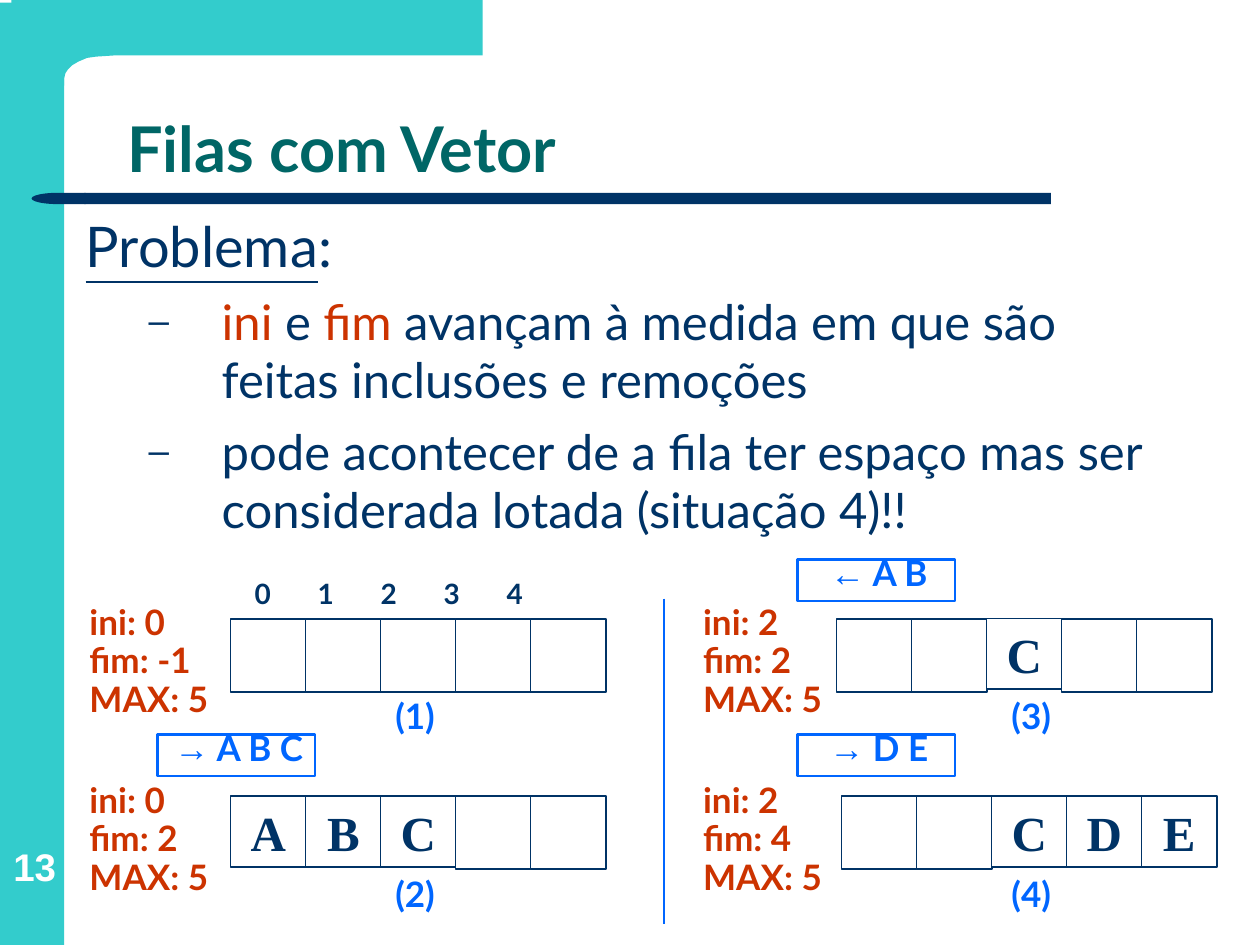
from lxml import etree
from pptx import Presentation
from pptx.dml.color import RGBColor
from pptx.enum import shapes, text
from pptx.oxml import ns
from pptx.util import Inches, Pt

TEAL = RGBColor(0x33, 0xCC, 0xCC)
DARK_TEAL = RGBColor(0x00, 0x66, 0x66)
NAVY = RGBColor(0x00, 0x33, 0x66)
RED = RGBColor(0xCC, 0x33, 0x00)
BLUE = RGBColor(0x00, 0x66, 0xFF)
WHITE = RGBColor(0xFF, 0xFF, 0xFF)

TITLE = "Filas com Vetor"
PAGE = "13"
# Each run: text, colour, underlined
PROBLEM = [("Problema", NAVY, True), (":", NAVY, False)]
POINTS = [
    [("ini", RED, False), (" e ", NAVY, False), ("fim", RED, False),
     (" avançam à medida em que são feitas inclusões e remoções", NAVY, False)],
    [("pode acontecer de a fila ter espaço mas ser considerada lotada "
      "(situação 4)!!", NAVY, False)],
]
INDEXES = ["0", "1", "2", "3", "4"]
# Caption, column, row, left of the cells, ini, fim, cell contents
QUEUES = [
    ("(1)", 0, 0, 1.83, 0, -1, ["", "", "", "", ""]),
    ("(2)", 0, 1, 1.83, 0, 2, ["A", "B", "C", "", ""]),
    ("(3)", 1, 0, 6.64, 2, 2, ["", "", "C", "", ""]),
    ("(4)", 1, 1, 6.68, 2, 4, ["", "", "C", "D", "E"]),
]
# Arrow, elements, left, top
MOVES = [("→", " A B C", 1.25, 5.83), ("←", " A B", 6.33, 4.44), ("→", " D E", 6.33, 5.83)]
MAX_SIZE = 5

STATE_LEFT, CAPTION_LEFT = (0.71, 5.58), (2.96, 7.85)
CELL_TOP, ROW_PITCH, CELL_PITCH, CELL_WIDTH = 4.91, 1.41, 0.595, 0.6
CORNER = [(3.83, 0), (3.83, 0.44), (0.91, 0.44), (0.76, 0.45), (0.69, 0.46),
          (0.62, 0.49), (0.57, 0.52), (0.54, 0.55), (0.52, 0.58), (0.51, 0.62),
          (0.51, 0.68), (0.09, 0.68), (0.09, 0)]

LEFT, CENTER = text.PP_ALIGN.LEFT, text.PP_ALIGN.CENTER


def style(run, size, color, font="Lato", bold=True):
    run.font.size, run.font.name, run.font.bold = Pt(size), font, bold
    run.font.color.rgb = color


def set_frame(frame, insets, anchor=text.MSO_ANCHOR.TOP):
    frame.word_wrap = True
    frame.auto_size = text.MSO_AUTO_SIZE.NONE
    frame.vertical_anchor = anchor
    (frame.margin_left, frame.margin_top,
     frame.margin_right, frame.margin_bottom) = map(Inches, insets)


def indent(paragraph, left, first):
    properties = paragraph._p.get_or_add_pPr()
    properties.set("marL", str(Inches(left)))
    properties.set("indent", str(Inches(first)))
    return properties


def tighten(paragraph, align, gap=5):
    """Half line spacing and hanging indent shared by all diagram labels."""
    paragraph.alignment = align
    paragraph.line_spacing = 0.5
    paragraph.space_before = paragraph.space_after = Pt(gap)
    indent(paragraph, 0.38, -0.38)


def add_box(slide, kind, box, fill=None, line=None, width=1):
    shape = slide.shapes.add_shape(kind, *map(Inches, box))
    paint(shape, fill, line, width)
    return shape


def paint(shape, fill, line=None, width=1):
    shape.shadow.inherit = False
    if fill is None:
        shape.fill.background()
    else:
        shape.fill.solid()
        shape.fill.fore_color.rgb = fill
    if line is None:
        shape.line.fill.background()
    else:
        shape.line.color.rgb = line
        shape.line.width = Pt(width)


def add_label(slide, box, lines, color, insets, align):
    frame = slide.shapes.add_textbox(*map(Inches, box)).text_frame
    set_frame(frame, insets)
    frame.text = "\n".join(lines)
    for paragraph in frame.paragraphs:
        tighten(paragraph, align)
        style(paragraph.runs[0], 20, color)


def add_decor(slide):
    rect = shapes.MSO_SHAPE.RECTANGLE
    add_box(slide, rect, (0, 0.02, 0.51, 7.48), TEAL)
    start, *rest = [(Inches(x), Inches(y)) for x, y in CORNER]
    builder = slide.shapes.build_freeform(*start)
    builder.add_line_segments(rest, close=True)
    paint(builder.convert_to_shape(), TEAL)
    add_box(slide, rect, (0.67, 1.53, 7.67, 0.09), NAVY)
    cap = add_box(slide, shapes.MSO_SHAPE.FLOWCHART_DELAY, (0.25, 1.53, 0.43, 0.09), NAVY)
    cap.rotation = 180

    page = slide.shapes.add_textbox(*map(Inches, (0.03, 6.52, 0.49, 0.54))).text_frame
    set_frame(page, (0, 0, 0, 0), text.MSO_ANCHOR.BOTTOM)
    page.text = PAGE
    page.paragraphs[0].alignment = CENTER
    style(page.paragraphs[0].runs[0], 22, WHITE, "Arial")


def place(shape, box):
    shape.left, shape.top, shape.width, shape.height = map(Inches, box)


def fill_title(title):
    place(title, (0.91, 0.44, 8.51, 1.09))
    set_frame(title.text_frame, (0.1, 0.05, 0.1, 0.05), text.MSO_ANCHOR.BOTTOM)
    title.text_frame.text = TITLE
    paragraph = title.text_frame.paragraphs[0]
    paragraph.alignment, paragraph.line_spacing = LEFT, 0.9
    style(paragraph.runs[0], 36, DARK_TEAL)


def fill_body(body):
    place(body, (0.58, 1.63, 8.92, 5.64))
    frame = body.text_frame
    set_frame(frame, (0.1, 0.05, 0.1, 0.05))
    for number, parts in enumerate([PROBLEM] + POINTS):
        paragraph = frame.add_paragraph() if number else frame.paragraphs[0]
        paragraph.level = 1 if number else 0
        paragraph.space_before = Pt(7 if number else 8)
        for words, color, underlined in parts:
            run = paragraph.add_run()
            run.text = words
            style(run, 28 if number else 32, color, bold=False)
            run.font.underline = underlined
        if number:
            properties = indent(paragraph, 1.08, -0.58)
            bullet_color = etree.SubElement(properties, ns.qn("a:buClr"))
            etree.SubElement(bullet_color, ns.qn("a:srgbClr"), val=str(NAVY))
            etree.SubElement(properties, ns.qn("a:buSzPct"), val="75000")
            etree.SubElement(properties, ns.qn("a:buChar"), char="–")
        else:
            etree.SubElement(indent(paragraph, 0.67, -0.67), ns.qn("a:buNone"))


def add_queue(slide, caption, column, row, left, ini, fim, cells):
    top = CELL_TOP + row * ROW_PITCH
    for i, letter in enumerate(cells):
        box = (left + i * CELL_PITCH, top, CELL_WIDTH, 0.56 if letter else 0.58)
        cell = add_box(slide, shapes.MSO_SHAPE.RECTANGLE, box, WHITE, NAVY)
        if letter:
            set_frame(cell.text_frame, (0.1, 0.05, 0.1, 0.05))
            cell.text_frame.text = letter
            cell.text_frame.paragraphs[0].alignment = CENTER
            style(cell.text_frame.paragraphs[0].runs[0], 28, NAVY, "Times New Roman")
    state = [f"ini: {ini}", f"fim: {fim}", f"MAX: {MAX_SIZE}"]
    add_label(slide, (STATE_LEFT[column], top - 0.08, 1.25, 0.67), state, RED,
              (0, 0.08, 0, 0), LEFT)
    add_label(slide, (CAPTION_LEFT[column], top + 0.67, 0.67, 0.42), [caption], BLUE,
              (0.08, 0.08, 0.08, 0.08), CENTER)


def add_move(slide, arrow, elements, left, top):
    move = add_box(slide, shapes.MSO_SHAPE.RECTANGLE, (left, top, 1.25, 0.33), None, BLUE, 1.5)
    set_frame(move.text_frame, (0.08, 0.08, 0.04, 0.08))
    paragraph = move.text_frame.paragraphs[0]
    tighten(paragraph, CENTER)
    for words, font in ((arrow, "Arial"), (elements, "Lato")):
        run = paragraph.add_run()
        run.text = words
        style(run, 20, BLUE, font)


def add_indexes(slide):
    frame = slide.shapes.add_textbox(*map(Inches, (2.02, 4.69, 2.81, 0.31))).text_frame
    set_frame(frame, (0, 0, 0, 0))
    frame.text = "\t".join(INDEXES)
    paragraph = frame.paragraphs[0]
    tighten(paragraph, LEFT, 4)
    stops = etree.SubElement(indent(paragraph, 0, 0), ns.qn("a:tabLst"))
    for i in range(1, len(INDEXES)):
        etree.SubElement(stops, ns.qn("a:tab"), pos=str(Inches(0.51 * i)), algn="l")
    for run in paragraph.runs:
        style(run, 16, NAVY)


def main():
    deck = Presentation()
    deck.slide_width, deck.slide_height = Inches(10), Inches(7.5)
    slide = deck.slides.add_slide(deck.slide_layouts[1])
    add_decor(slide)
    fill_title(slide.shapes.title)
    fill_body(slide.placeholders[1])
    for queue in QUEUES:
        add_queue(slide, *queue)
    divider = slide.shapes.add_connector(
        shapes.MSO_CONNECTOR.STRAIGHT, *map(Inches, (5.27, 4.75, 5.27, 7.33)))
    divider.line.color.rgb, divider.line.width = BLUE, Pt(0.75)
    etree.SubElement(divider._element.spPr, ns.qn("a:effectLst"))
    for move in MOVES:
        add_move(slide, *move)
    add_indexes(slide)
    deck.save("out.pptx")


if __name__ == "__main__":
    main()
